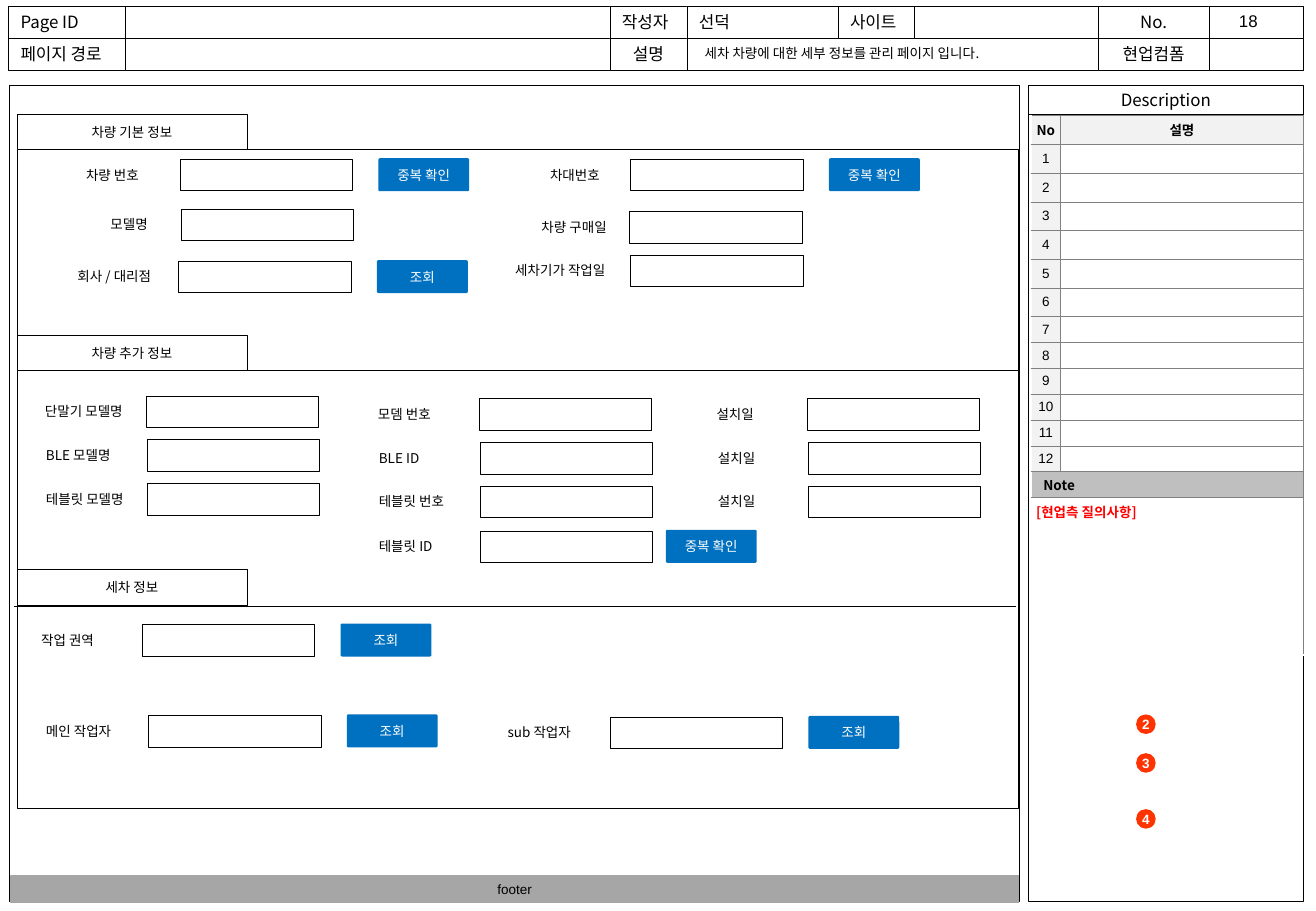
"""Build the vehicle detail page of a car wash storyboard."""
from dataclasses import dataclass
from itertools import pairwise

from lxml.etree import SubElement
from pptx import Presentation
from pptx.dml.color import RGBColor
from pptx.enum.shapes import MSO_CONNECTOR as Connector, MSO_SHAPE as Preset
from pptx.enum.text import MSO_ANCHOR as Anchor, PP_ALIGN as Align
from pptx.oxml.ns import qn
from pptx.util import Cm, Pt

KOREAN, LATIN = "Noto Sans CJK KR", "Arial"
BLACK, WHITE, BLUE, RED = "000000", "FFFFFF", "0070C0", "FF0000"
ORANGE, GRAY, PALE, SILVER, FOOTER = "FF3300", "808080", "F2F2F2", "BFBFBF", "A6A6A6"
FIELD_WIDTH, FIELD_HEIGHT = 3.61, 0.66


@dataclass
class Style:
    size: float = 8
    font: str = KOREAN
    color: str = BLACK
    bold: bool = False
    align: Align = Align.CENTER


@dataclass
class Field:
    label: str
    label_left: float
    label_width: float
    left: float
    top: float
    button: str = ""
    button_gap: float = 0.54


@dataclass
class HeaderRow:
    top: float
    edges: list[float]
    texts: list[str]
    centered: set[str]


HEADER = [
    HeaderRow(0.13, [0.18, 2.62, 12.75, 14.36, 17.52, 19.12, 22.96, 25.27, 27.25],
              ["Page ID", "", "작성자", "선덕", "사이트", "", "No.", ""], {"No."}),
    HeaderRow(0.8, [0.18, 2.62, 12.75, 14.36, 22.96, 25.27, 27.25],
              ["페이지 경로", "", "설명", "", "현업컴폼", ""], {"설명", "현업컴폼"}),
]
TABS = {"차량 기본 정보": 2.39, "차량 추가 정보": 7.01, "세차 정보": 11.91}
DIVIDERS = [(0.36, 7.75), (0.3, 12.67)]
MARKERS = {"2": 14.94, "3": 15.75, "4": 16.92}
FIELDS = [
    Field("차량 번호", 1.55, 1.85, 3.76, 3.33, "중복 확인"),
    Field("차대번호", 11.25, 1.85, 13.18, 3.33, "중복 확인"),
    Field("모델명", 2.06, 1.37, 3.78, 4.37),
    Field("차량 구매일", 11.07, 2.03, 13.16, 4.42),
    Field("회사 / 대리점", 1.37, 2.36, 3.73, 5.46, "조회"),
    Field("세차기가 작업일", 10.52, 2.62, 13.18, 5.33),
    Field("단말기 모델명", 0.69, 2.34, 3.05, 8.28),
    Field("모뎀 번호", 7.65, 1.85, 10.01, 8.33),
    Field("설치일", 14.73, 1.57, 16.87, 8.33),
    Field("BLE 모델명", 0.71, 1.93, 3.07, 9.19),
    Field("BLE ID", 7.67, 1.45, 10.03, 9.25),
    Field("설치일", 14.76, 1.57, 16.89, 9.25),
    Field("테블릿 모델명", 0.71, 2.34, 3.07, 10.11),
    Field("테블릿 번호", 7.67, 2.03, 10.03, 10.16),
    Field("설치일", 14.76, 1.57, 16.89, 10.16),
    Field("테블릿 ID", 7.67, 1.75, 10.03, 11.1, "중복 확인", 0.28),
    Field("작업 권역", 0.61, 1.85, 2.97, 13.06, "조회"),
    Field("메인 작업자", 0.71, 2.13, 3.1, 14.96, "조회"),
    Field("sub 작업자", 10.36, 2.03, 12.75, 14.99, "조회"),
]


def color_of(value: str) -> RGBColor:
    """Turn a hex string into a colour."""
    return RGBColor.from_string(value)


def write(frame, text: str, style: Style) -> None:
    """Set one paragraph of text and format it."""
    frame.text = text
    para = frame.paragraphs[0]
    para.alignment = style.align
    for span in para.runs:
        span.font.size, span.font.name, span.font.bold = Pt(style.size), style.font, style.bold
        span.font.color.rgb = color_of(style.color)
        SubElement(span._r.get_or_add_rPr(), qn("a:ea"), typeface=style.font)
    if not text:
        SubElement(para._p, qn("a:endParaRPr"), sz=str(int(style.size * 100)))


def add_box(page, left: float, top: float, width: float, height: float, text: str = "",
            style: Style = Style(), fill: str = WHITE, line: str = BLACK,
            line_width: float = 0.25, preset: Preset = Preset.RECTANGLE):
    """Draw a filled shape, with text if there is any."""
    box = page.shapes.add_shape(preset, Cm(left), Cm(top), Cm(width), Cm(height))
    box.shadow.inherit = False
    box.fill.solid()
    box.fill.fore_color.rgb = color_of(fill)
    if line:
        box.line.color.rgb = color_of(line)
        box.line.width = Pt(line_width)
    else:
        box.line.fill.background()
    if text:
        box.text_frame.vertical_anchor = Anchor.MIDDLE
        write(box.text_frame, text, style)
    return box


def add_label(page, left: float, top: float, width: float, text: str, style: Style) -> None:
    """Place a line of plain text."""
    box = page.shapes.add_textbox(Cm(left), Cm(top), Cm(width), Cm(0.61))
    box.text_frame.word_wrap = True
    box.text_frame.margin_right = 0
    write(box.text_frame, text, style)


def add_field(page, field: Field) -> None:
    """Draw a label, its input box and its button."""
    add_label(page, field.label_left, field.top + 0.03, field.label_width, field.label,
              Style(align=Align.LEFT))
    add_box(page, field.left, field.top, FIELD_WIDTH, FIELD_HEIGHT)
    if field.button:
        button = add_box(page, field.left + FIELD_WIDTH + field.button_gap, field.top - 0.02,
                         1.9, 0.69, field.button, Style(color=WHITE), BLUE, "",
                         preset=Preset.ROUNDED_RECTANGLE)
        button.adjustments[0] = 0.05


def add_divider(page, left: float, top: float) -> None:
    """Draw a thin line across the form."""
    line = page.shapes.add_connector(Connector.STRAIGHT, Cm(left), Cm(top),
                                     Cm(left + 20.93), Cm(top))
    line.line.color.rgb = color_of(BLACK)
    line.line.width = Pt(0.25)
    SubElement(line._element.spPr, qn("a:effectLst"))


def format_cell(cell, text: str, style: Style, fill: str, sides: str, margin: float) -> None:
    """Fill a table cell and draw the borders on the given sides."""
    cell.margin_left = cell.margin_right = Cm(0.1)
    cell.margin_top = cell.margin_bottom = Cm(margin)
    write(cell.text_frame, text, style)
    for side in sides:
        border = SubElement(cell._tc.get_or_add_tcPr(), qn(f"a:ln{side}"), w="3175")
        SubElement(SubElement(border, qn("a:solidFill")), qn("a:srgbClr"), val=GRAY)
    cell.fill.solid()
    cell.fill.fore_color.rgb = color_of(fill)


def add_description_table(page) -> None:
    """Draw the numbered description list and its note."""
    heights = [0.61] + [0.6] * 6 + [0.54] * 7 + [3.3]
    table = page.shapes.add_table(len(heights), 2, Cm(21.56), Cm(2.41), Cm(5.69),
                                  Cm(sum(heights))).table
    table.first_row = table.horz_banding = False
    table.columns[0].width, table.columns[1].width = Cm(0.61), Cm(5.08)
    for row, height in zip(table.rows, heights):
        row.height = Cm(height)
    bold, number = Style(bold=True), Style(font=LATIN)
    rows = [("No", "설명", bold, PALE)] + [(str(n), "", number, WHITE) for n in range(1, 13)]
    for index, (first, second, style, fill) in enumerate(rows):
        format_cell(table.cell(index, 0), first, style, PALE, "RTB", 0.05)
        format_cell(table.cell(index, 1), second, style, fill, "LRTB", 0.05)
        for column in range(2):
            table.cell(index, column).vertical_anchor = Anchor.MIDDLE
    note, question = table.cell(13, 0), table.cell(14, 0)
    note.merge(table.cell(13, 1))
    question.merge(table.cell(14, 1))
    format_cell(note, "Note", Style(bold=True, align=Align.LEFT), SILVER, "RTB", 0.05)
    note.margin_left = Cm(0.25)
    note.vertical_anchor = Anchor.MIDDLE
    format_cell(question, "[현업측 질의사항]", Style(color=RED, bold=True, align=Align.LEFT),
                WHITE, "RT", 0.1)


def main() -> None:
    """Draw the page and save the deck."""
    deck = Presentation()
    deck.slide_width, deck.slide_height = Cm(27.51), Cm(19.05)
    page = deck.slides.add_slide(deck.slide_layouts[6])
    for row in HEADER:
        for (left, right), text in zip(pairwise(row.edges), row.texts):
            align = Align.CENTER if text in row.centered else Align.LEFT
            add_box(page, left, row.top, right - left, 0.67, text, Style(10, align=align))
    add_label(page, 25.65, 0.1, 0.97, "18", Style(10, LATIN, align=Align.LEFT))
    add_label(page, 14.48, 0.81, 8.2, "세차 차량에 대한 세부 정보를 관리 페이지 입니다.",
              Style(align=Align.LEFT))
    add_box(page, 21.49, 2.39, 5.76, 16.46)
    add_box(page, 21.49, 1.78, 5.76, 0.61, "Description", Style(10))
    add_description_table(page)
    for text, top in MARKERS.items():
        marker = add_box(page, 23.75, top, 0.41, 0.41, text, Style(8, LATIN, WHITE, True),
                         ORANGE, "", preset=Preset.OVAL)
        marker.text_frame.word_wrap = False
    add_box(page, 0.2, 1.78, 21.11, 17.07)
    add_box(page, 0.23, 18.31, 21.06, 0.56, "footer", Style(font=LATIN), FOOTER, FOOTER, 0.75)
    add_box(page, 0.36, 3.12, 20.93, 13.79)
    for text, top in TABS.items():
        add_box(page, 0.36, top, 4.8, 0.74, text)
    for left, top in DIVIDERS:
        add_divider(page, left, top)
    for field in FIELDS:
        add_field(page, field)
    deck.save("out.pptx")


if __name__ == "__main__":
    main()
